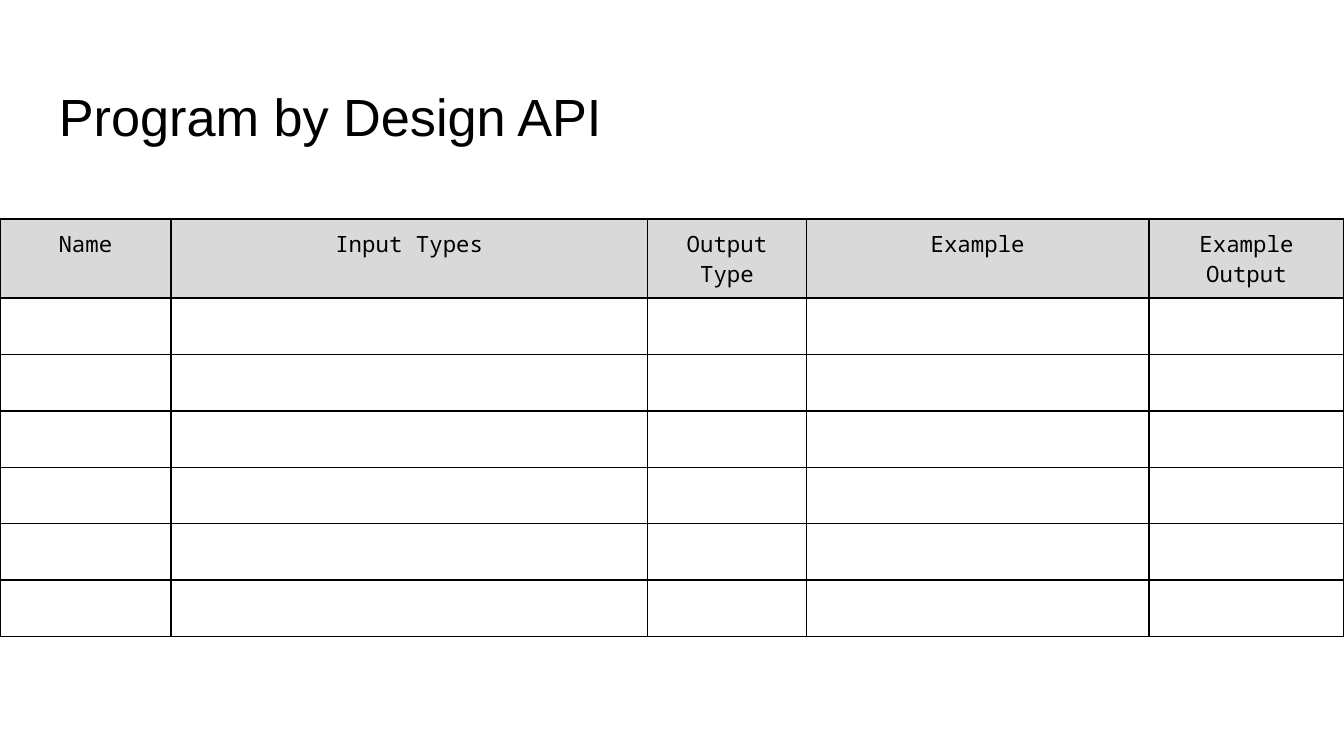
from pptx import Presentation
from pptx.dml.color import RGBColor
from pptx.enum.text import MSO_ANCHOR as Anchor, PP_ALIGN as Align
from pptx.oxml import parse_xml
from pptx.oxml.ns import nsdecls
from pptx.util import Pt

BLACK = RGBColor(0x00, 0x00, 0x00)
WHITE = RGBColor(0xFF, 0xFF, 0xFF)
HEADER_GRAY = RGBColor(0xD9, 0xD9, 0xD9)

HEADERS = ["Name", "Input Types", "Output Type", "Example", "Example Output"]
COLUMN_WIDTHS = [91.5, 255.5, 85, 183.6, 104.4]
HEADER_HEIGHT = 42.4
ROW_HEIGHT = 30.2
EMPTY_ROWS = 6


def write_text(frame, text, font="Arial", size=12, color=BLACK, align=Align.LEFT):
    paragraph = frame.paragraphs[0]
    paragraph.alignment = align
    run = paragraph.add_run()
    run.text = text
    run.font.name = font
    run.font.size = Pt(size)
    run.font.color.rgb = color


def set_borders(cell, color=BLACK, width=1):
    properties = cell._tc.get_or_add_tcPr()
    for index, side in enumerate(("lnL", "lnR", "lnT", "lnB")):
        properties.insert(index, parse_xml(
            f'<a:{side} {nsdecls("a")} w="{Pt(width)}"><a:solidFill>'
            f'<a:srgbClr val="{color}"/></a:solidFill></a:{side}>'))


def add_title(slide, left, top, width, height):
    shape = slide.shapes.add_textbox(Pt(left), Pt(top), Pt(width), Pt(height))
    frame = shape.text_frame
    frame.word_wrap = True
    frame.vertical_anchor = Anchor.TOP
    frame.margin_left = frame.margin_right = Pt(7.2)
    frame.margin_top = Pt(9.6)
    frame.margin_bottom = Pt(0)
    write_text(frame, "Program by Design API", size=28)


def add_api_table(slide, left, top, width, height):
    shape = slide.shapes.add_table(
        EMPTY_ROWS + 1, len(HEADERS), Pt(left), Pt(top), Pt(width), Pt(height))
    table = shape.table
    for column, column_width in zip(table.columns, COLUMN_WIDTHS):
        column.width = Pt(column_width)
    for index, row in enumerate(table.rows):
        row.height = Pt(ROW_HEIGHT if index else HEADER_HEIGHT)
        for cell in row.cells:
            cell.fill.solid()
            cell.fill.fore_color.rgb = WHITE if index else HEADER_GRAY
            set_borders(cell)
    for cell, header in zip(table.rows[0].cells, HEADERS):
        cell.margin_left = cell.margin_right = Pt(5)
        cell.margin_top = cell.margin_bottom = Pt(5)
        write_text(cell.text_frame, header, font="Noto Sans Mono", align=Align.CENTER)


def main():
    presentation = Presentation()
    presentation.slide_width = Pt(720)
    presentation.slide_height = Pt(405)
    slide = presentation.slides.add_slide(presentation.slide_layouts[6])
    add_title(slide, 24.5, 35.3, 671, 45.4)
    add_api_table(slide, 0, 117.4, sum(COLUMN_WIDTHS),
                  HEADER_HEIGHT + EMPTY_ROWS * ROW_HEIGHT)
    presentation.save("out.pptx")


if __name__ == "__main__":
    main()
